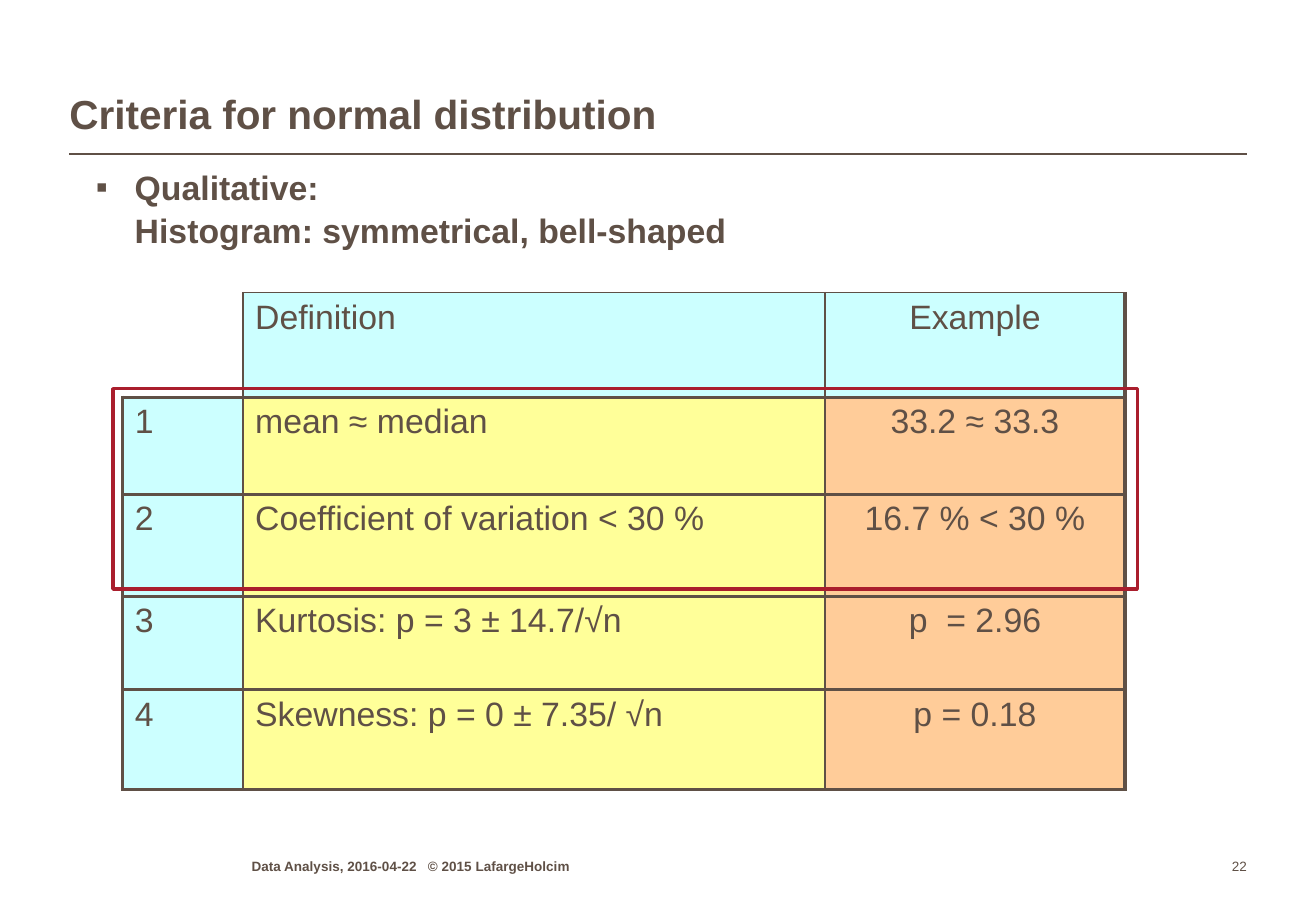
from dataclasses import dataclass

from lxml import etree
from pptx import Presentation
from pptx import util as u
from pptx.dml.color import RGBColor
from pptx.enum import shapes, text
from pptx.oxml import ns


@dataclass(frozen=True)
class Theme:
    font: str = "Arial"
    ink: str = "5F5046"
    red: str = "AA1E2D"
    aqua: str = "CCFFFF"
    yellow: str = "FFFF99"
    peach: str = "FFCC99"
    title: int = 24
    body: int = 20
    small: int = 8
    thin: float = 1
    thick: float = 2.25


T = Theme()
WIDE, HIGH = 10.83, 7.5
LEFT, RIGHT = 0.57, 10.26
COLS = (0.99, 4.79, 2.47)
ROWS = (0.86, 0.8, 0.84, 0.77, 0.82)
CRITERIA = (
    ("", "Definition", "Example"),
    ("1", "mean ≈ median", "33.2 ≈ 33.3"),
    ("2", "Coefficient of variation < 30 %", "16.7 % < 30 %"),
    ("3", "Kurtosis: p = 3 ± 14.7/√n", "p  = 2.96"),
    ("4", "Skewness: p = 0 ± 7.35/ √n", "p = 0.18"),
)


def inches(*sizes):
    return [u.Inches(size) for size in sizes]


def style(para, size, bold=False, align=text.PP_ALIGN.LEFT):
    para.alignment = align
    font = para.font
    font.name, font.size, font.bold = T.font, u.Pt(size), bold
    font.color.rgb = RGBColor.from_string(T.ink)


def label(slide, box, words, inset=0, anchor=text.MSO_ANCHOR.BOTTOM):
    """Add a wrapped text box and return its paragraph, ready to style."""
    frame = slide.shapes.add_textbox(*inches(*box)).text_frame
    frame.word_wrap = True
    frame.vertical_anchor = anchor
    frame.margin_left = frame.margin_right = u.Inches(2 * inset)
    frame.margin_top = frame.margin_bottom = u.Inches(inset)
    para = frame.paragraphs[0]
    para.text = words
    return para


def heading(slide, box):
    x, y, w, h = box
    para = label(slide, (x, y, w, h * 0.88), "Criteria for normal distribution")
    para.line_spacing = 0.95
    style(para, T.title, True)
    rule = slide.shapes.add_connector(
        shapes.MSO_CONNECTOR.STRAIGHT, *inches(x, y + h, x + w, y + h))
    rule.line.color.rgb = RGBColor.from_string(T.ink)
    rule.line.width = u.Pt(T.thin)
    etree.SubElement(rule._element.spPr, ns.qn("a:effectLst"))


def bullet(slide, box):
    para = label(slide, box, "Qualitative:\vHistogram: symmetrical, bell-shaped",
                 0.05, text.MSO_ANCHOR.TOP)
    para.line_spacing = 1.05
    props = para._p.get_or_add_pPr()
    hang = u.Inches(0.32)
    props.set("marL", str(hang))
    props.set("indent", str(-hang))
    etree.SubElement(props, ns.qn("a:buFont"), typeface=T.font)
    etree.SubElement(props, ns.qn("a:buChar"), char="▪")
    style(para, T.body, True)


def border(cell, widths):
    """Draw left, right, top and bottom edges; a width of 0 hides one."""
    props = cell._tc.get_or_add_tcPr()
    for i, (side, width) in enumerate(zip("LRTB", widths)):
        edge = etree.Element(ns.qn("a:ln" + side), w=str(u.Pt(width)))
        if width:
            fill = etree.SubElement(edge, ns.qn("a:solidFill"))
            etree.SubElement(fill, ns.qn("a:srgbClr"), val=T.ink)
        else:
            etree.SubElement(edge, ns.qn("a:noFill"))
        props.insert(i, edge)


def grid(slide, box):
    """Fill the box with the criteria table, its top left corner left open."""
    x, y, w, h = box
    table = slide.shapes.add_table(
        len(ROWS), len(COLS), *inches(x, y, w, h)).table
    table.first_row = table.horz_banding = False
    for col, size in zip(table.columns, COLS):
        col.width = u.Inches(w * size / sum(COLS))
    for row, size in zip(table.rows, ROWS):
        row.height = u.Inches(h * size / sum(ROWS))
    across = (T.thick, T.thin, T.thin, T.thick)
    for r, line in enumerate(CRITERIA):
        for c, words in enumerate(line):
            cell = table.cell(r, c)
            corner = r == c == 0
            if corner:
                cell.fill.background()
            else:
                tint = (T.aqua, T.yellow, T.peach)[c] if r else T.aqua
                cell.fill.solid()
                cell.fill.fore_color.rgb = RGBColor.from_string(tint)
            left = 0 if corner else across[c]
            top = T.thick if r else 0 if corner else T.thin
            border(cell, (left, across[c + 1], top, T.thick))
            para = cell.text_frame.paragraphs[0]
            para.text = words
            style(para, T.body, align=text.PP_ALIGN.CENTER if c == 2
                  else text.PP_ALIGN.LEFT)


def frame(slide, box):
    rect = slide.shapes.add_shape(shapes.MSO_SHAPE.RECTANGLE, *inches(*box))
    rect.shadow.inherit = False
    rect.fill.background()
    rect.line.color.rgb = RGBColor.from_string(T.red)
    rect.line.width = u.Pt(2)


def footer(slide, box):
    x, y, w, h = box
    note = label(slide, (x + 1.5, y, w * 0.36, h),
                 "Data Analysis, 2016-04-22   © 2015 LafargeHolcim")
    style(note, T.small, True)
    page = label(slide, (x + w * 0.95, y, w * 0.05, h), "22")
    style(page, T.small, align=text.PP_ALIGN.RIGHT)


def main():
    deck = Presentation()
    deck.slide_width, deck.slide_height = inches(WIDE, HIGH)
    slide = deck.slides.add_slide(deck.slide_layouts[6])
    span = RIGHT - LEFT
    heading(slide, (LEFT, 0.21, span, 1.06))
    grid(slide, (1.01, 2.41, sum(COLS), sum(ROWS)))
    bullet(slide, (0.69, 1.31, 9.45, 0.77))
    frame(slide, (0.93, 3.2, 8.43, 1.65))
    footer(slide, (LEFT, 7.02, span, 0.18))
    deck.save("out.pptx")


if __name__ == "__main__":
    main()
